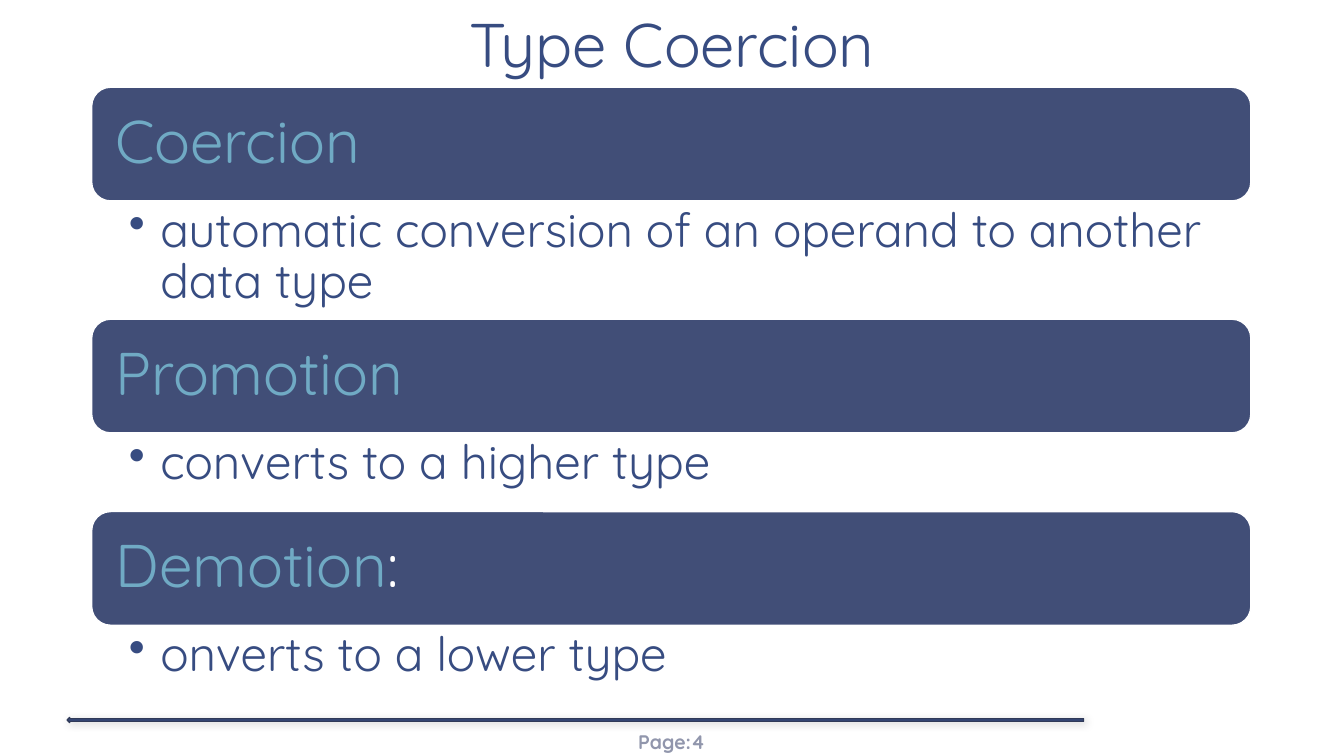
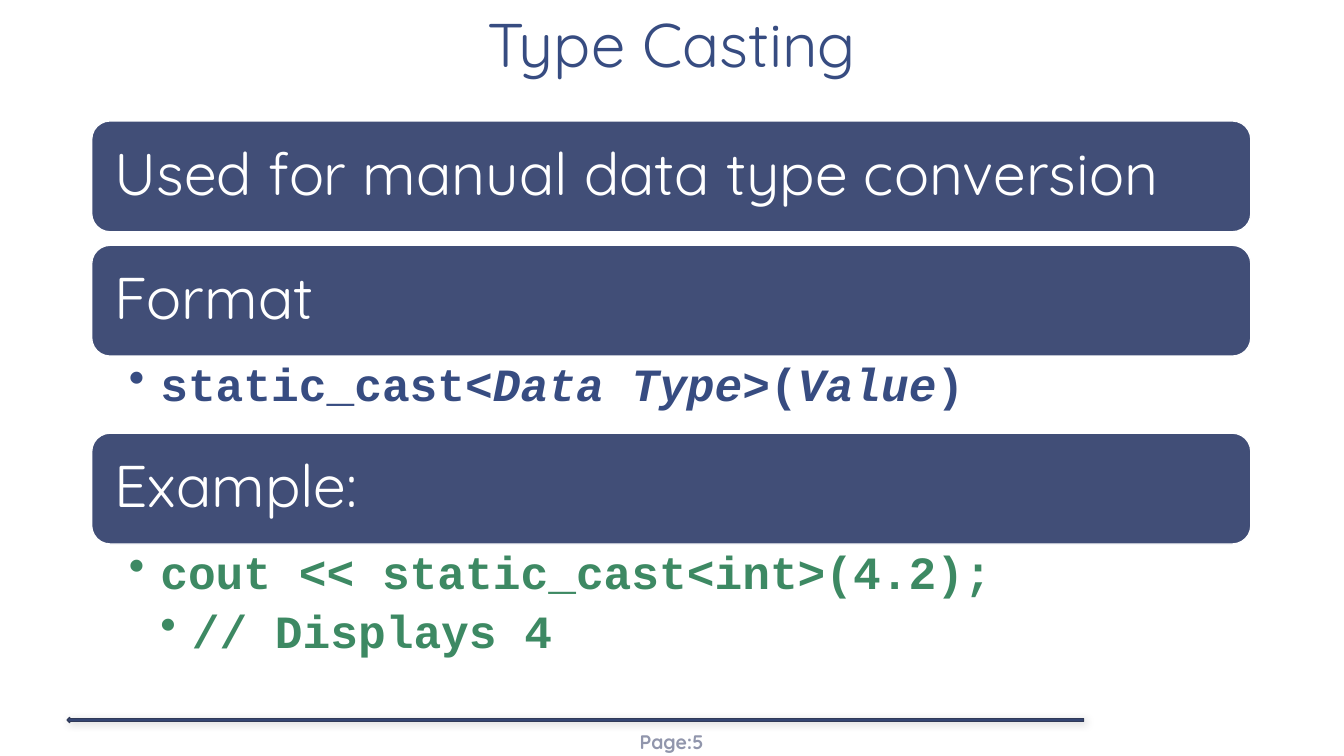
from dataclasses import dataclass

from lxml import etree
from pptx import Presentation
from pptx.dml.color import RGBColor
from pptx.enum.shapes import MSO_SHAPE
from pptx.enum.text import MSO_ANCHOR, PP_ALIGN
from pptx.oxml.ns import qn
from pptx.util import Pt

ROUNDED = MSO_SHAPE.ROUNDED_RECTANGLE
LEFT_ARROW = MSO_SHAPE.LEFT_ARROW
TOP, MIDDLE, BOTTOM = MSO_ANCHOR.TOP, MSO_ANCHOR.MIDDLE, MSO_ANCHOR.BOTTOM
LEFT, CENTER = PP_ALIGN.LEFT, PP_ALIGN.CENTER

PAGE_WIDTH, PAGE_HEIGHT = 960, 540
BLANK_LAYOUT = 6
BAND_LEFT, BAND_WIDTH = 65.5, 828
BULLET_INDENT = 22.5


@dataclass(frozen=True)
class Theme:
    ink: str = "374C81"
    band: str = "414E77"
    accent: str = "70AAC4"
    code: str = "3D8963"
    rule_edge: str = "303A58"
    muted: str = "9196AC"
    white: str = "FFFFFF"
    shadow: str = "000000"
    text_font: str = "Quicksand"
    code_font: str = "Courier New"
    title_size: int = 44
    page_size: int = 14


THEME = Theme()


@dataclass(frozen=True)
class Style:
    size: float
    color: str
    font: str = THEME.text_font
    bold: bool = False


@dataclass(frozen=True)
class Span:
    text: str
    color: str = ""
    italic: bool = False


@dataclass(frozen=True)
class Section:
    """A band heading, with bulleted lines below it or just a gap."""
    heading: tuple
    space_below: float
    lines: tuple = ()


class SlideBuilder:
    def __init__(self, deck):
        self.deck = deck
        self.page = None

    def start(self, title, number):
        layout = self.deck.slide_layouts[BLANK_LAYOUT]
        self.page = self.deck.slides.add_slide(layout)
        self.footer(number)
        frame = self.text_box(0, 0, PAGE_WIDTH, 62, (9, 5, 9, 5), BOTTOM)
        self.fill_para(frame.paragraphs[0], (Span(title),),
                       Style(THEME.title_size, THEME.ink), CENTER, 0.85)

    def footer(self, number):
        frame = self.text_box(416, 515.5, 127.5, 29, (3, 1.5, 3, 1.5), MIDDLE)
        self.fill_para(frame.paragraphs[0], (Span(f"Page:{number}"),),
                       Style(THEME.page_size, THEME.muted, bold=True), CENTER)
        rule = self.shape(LEFT_ARROW, 48, 512.5, 726, 3.6,
                          THEME.ink, THEME.rule_edge)
        self.soft_shadow(rule)

    def shape(self, kind, left, top, width, height, fill, line):
        shape = self.page.shapes.add_shape(
            kind, Pt(left), Pt(top), Pt(width), Pt(height))
        shape.shadow.inherit = False
        shape.fill.solid()
        shape.fill.fore_color.rgb = RGBColor.from_string(fill)
        shape.line.color.rgb = RGBColor.from_string(line)
        shape.line.width = Pt(1)
        return shape

    def soft_shadow(self, shape):
        effects = shape.element.spPr.find(qn("a:effectLst"))
        shadow = etree.SubElement(
            effects, qn("a:outerShdw"), blurRad=str(Pt(6)), dist=str(Pt(1)),
            dir="2700000", rotWithShape="0")
        color = etree.SubElement(shadow, qn("a:srgbClr"), val=THEME.shadow)
        etree.SubElement(color, qn("a:alpha"), val="20000")

    def text_box(self, left, top, width, height, insets, anchor):
        box = self.page.shapes.add_textbox(
            Pt(left), Pt(top), Pt(width), Pt(height))
        return self.frame(box, insets, anchor)

    def frame(self, shape, insets, anchor):
        """Prepare the text frame; insets run left, top, right, bottom."""
        frame = shape.text_frame
        frame.word_wrap = True
        frame.vertical_anchor = anchor
        (frame.margin_left, frame.margin_top,
         frame.margin_right, frame.margin_bottom) = map(Pt, insets)
        return frame

    def fill_para(self, para, spans, style, align=LEFT, spacing=1.0):
        para.alignment = align
        para.line_spacing = spacing
        font = para.font
        font.name = style.font
        font.size = Pt(style.size)
        font.bold = style.bold
        font.color.rgb = RGBColor.from_string(style.color)
        for span in spans:
            run = para.add_run()
            run.text = span.text
            if span.color:
                run.font.color.rgb = RGBColor.from_string(span.color)
            if span.italic:
                run.font.italic = True

    def bullet(self, para, level):
        para.level = level
        properties = para._p.get_or_add_pPr()
        properties.set("marL", str(Pt(BULLET_INDENT * level)))
        properties.set("indent", str(-Pt(BULLET_INDENT)))
        etree.SubElement(properties, qn("a:buChar"), char="•")

    def band(self, top, height, heading, style, inset):
        band = self.shape(ROUNDED, BAND_LEFT, top, BAND_WIDTH, height,
                          THEME.band, THEME.white)
        frame = self.frame(band, (inset,) * 4, MIDDLE)
        self.fill_para(frame.paragraphs[0], heading, style, spacing=0.9)

    def details(self, top, height, lines, style):
        frame = self.text_box(BAND_LEFT, top, BAND_WIDTH, height,
                              (26.5, 4, 23.5, 4), TOP)
        for level, spans in enumerate(lines, start=1):
            para = frame.paragraphs[0] if level == 1 else frame.add_paragraph()
            self.bullet(para, level)
            self.fill_para(para, spans, style, spacing=0.9)
            para.space_after = Pt(round(style.size * 0.2, 1))

    def sections(self, top, band_height, inset, heading_style, entries):
        """Stack (section, line style) entries downwards from top."""
        for section, line_style in entries:
            self.band(top, band_height, section.heading, heading_style, inset)
            top += band_height
            if section.lines:
                self.details(top, section.space_below, section.lines, line_style)
            top += section.space_below


def coercion_slide(builder):
    builder.start("Type Coercion", 4)
    plain = Style(34, THEME.ink)
    sections = (
        Section((Span("Coercion"),), 84.5, ((Span(
            "automatic conversion of an operand to another data type"),),)),
        Section((Span("Promotion"),), 56.2,
                ((Span("converts to a higher type"),),)),
        Section((Span("Demotion"), Span(":", THEME.white)), 56.2,
                ((Span("onverts to a lower type"),),)),
    )
    builder.sections(62.3, 81.2, 13, Style(43, THEME.accent),
                     [(section, plain) for section in sections])


def casting_slide(builder):
    builder.start("Type Casting", 5)
    syntax = Style(33, THEME.ink, THEME.code_font, bold=True)
    example = Style(33, THEME.code, THEME.code_font, bold=True)
    call = (Span("static_cast<"), Span("Data Type", italic=True), Span(">("),
            Span("Value", italic=True), Span(")"))
    builder.sections(86.4, 79.2, 12.5, Style(42, THEME.white), (
        (Section((Span("Used for manual data type conversion"),), 9.6), None),
        (Section((Span("Format"),), 55, (call,)), syntax),
        (Section((Span("Example:"),), 89,
                 ((Span("cout << static_cast<int>(4.2);"),),
                  (Span("// Displays 4"),))), example),
    ))


def main():
    deck = Presentation()
    deck.slide_width, deck.slide_height = Pt(PAGE_WIDTH), Pt(PAGE_HEIGHT)
    builder = SlideBuilder(deck)
    coercion_slide(builder)
    casting_slide(builder)
    deck.save("out.pptx")


if __name__ == "__main__":
    main()
